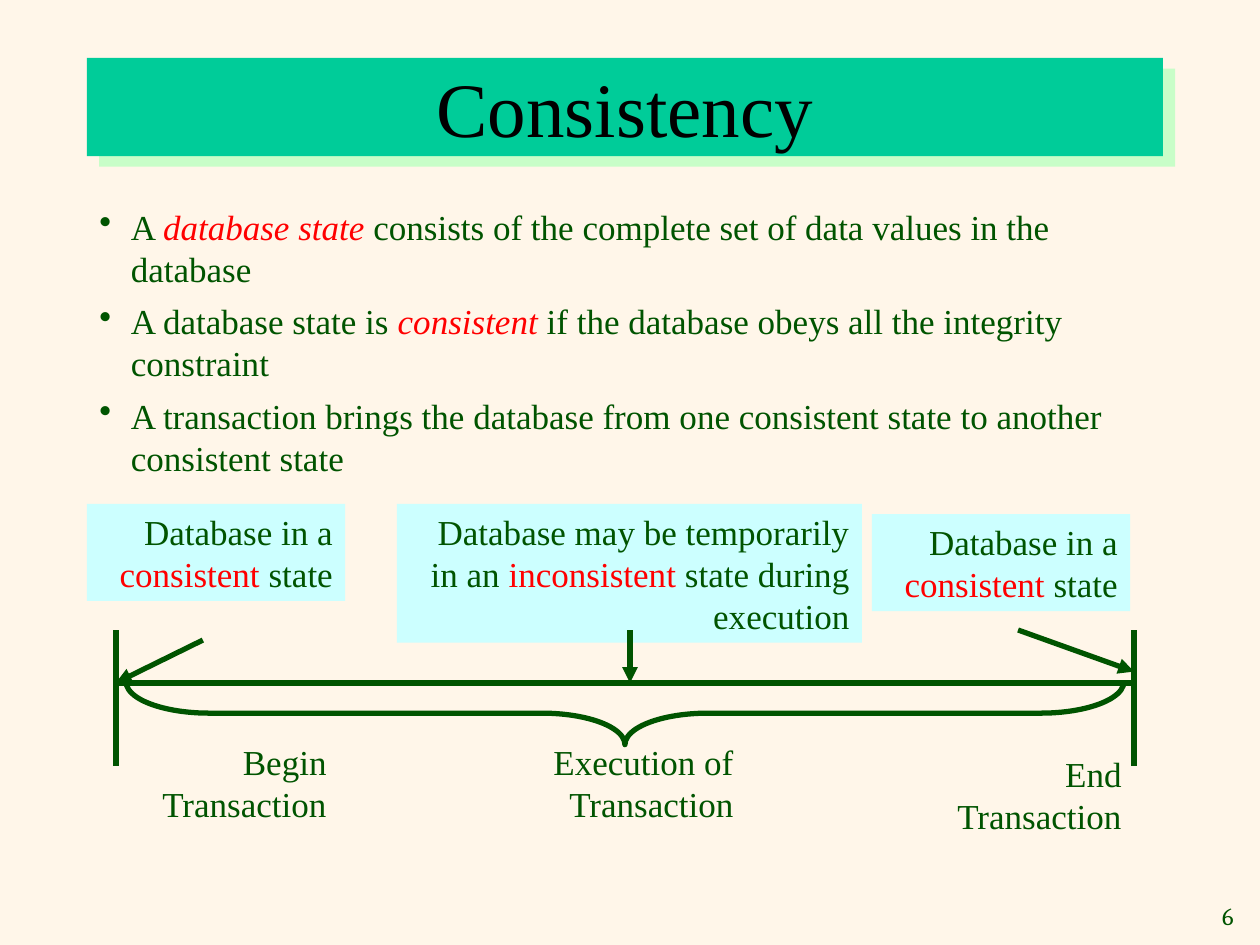
from lxml.etree import SubElement
from pptx import Presentation
from pptx.dml.color import RGBColor
from pptx.enum.shapes import MSO_CONNECTOR, MSO_SHAPE
from pptx.enum.text import MSO_ANCHOR, MSO_AUTO_SIZE, PP_ALIGN
from pptx.oxml.ns import qn
from pptx.util import Inches, Pt

COLORS = {
    "background": "FFF6E9",
    "ink": "005400",
    "key": "FF0000",
    "state": "CCFFFF",
    "banner": "00CC99",
    "banner_shadow": "C8FEC8",
    "title": "000000",
}
FONT = "Times New Roman"
BEGIN_X, END_X, AXIS_Y, MARK_TOP, MARK_BOTTOM = 0.92, 9, 5.42, 5, 6.08

BULLETS = [
    [("A ", "ink"), ("database state ", "key"),
     ("consists of the complete set of data values in the database", "ink")],
    [("A database state is ", "ink"), ("consistent ", "key"),
     ("if the database obeys all the integrity constraint", "ink")],
    [("A transaction brings the database from one consistent state "
      "to another consistent state", "ink")],
]
CONSISTENT = [("Database in a ", "ink"), ("consistent", "key"), (" state", "ink")]
INCONSISTENT = [("Database may be temporarily in an ", "ink"),
                ("inconsistent", "key"), (" state during execution", "ink")]
STATES = [
    (0.69, 4, 2.05, 0.77, CONSISTENT),
    (3.15, 4, 3.69, 1.1, INCONSISTENT),
    (6.92, 4.08, 2.05, 0.77, CONSISTENT),
]
CAPTIONS = [
    (1, 5.83, 1.69, "Begin Transaction"),
    (4.23, 5.83, 1.69, "Execution of Transaction"),
    (7.46, 5.92, 1.54, "End Transaction"),
]
ARROWS = [
    (1.61, 5.08, BEGIN_X, AXIS_Y),
    (5, MARK_TOP, 5, AXIS_Y),
    (8.08, MARK_TOP, END_X, 5.33),
]


def rgb(name):
    return RGBColor.from_string(COLORS[name])


def add_runs(paragraph, runs, size=20, font=FONT, italic_keys=False):
    for text, color in runs:
        run = paragraph.add_run()
        run.text = text
        run.font.name = font
        run.font.size = Pt(size)
        run.font.color.rgb = rgb(color)
        if italic_keys and color == "key":
            run.font.italic = True


def add_text(slide, left, top, width, height):
    box = slide.shapes.add_textbox(
        Inches(left), Inches(top), Inches(width), Inches(height))
    frame = box.text_frame
    frame.word_wrap = True
    frame.auto_size = MSO_AUTO_SIZE.SHAPE_TO_FIT_TEXT
    return frame


def add_panel(slide, left, top, width, height, fill):
    panel = slide.shapes.add_shape(
        MSO_SHAPE.RECTANGLE, Inches(left), Inches(top), Inches(width), Inches(height))
    panel.shadow.inherit = False
    panel.fill.solid()
    panel.fill.fore_color.rgb = rgb(fill)
    panel.line.fill.background()
    panel.text_frame.word_wrap = True
    return panel


def add_title(slide):
    banner = add_panel(slide, 0.69, 0.46, 8.54, 0.78, "banner")
    effects = banner._element.spPr.find(qn("a:effectLst"))
    shadow = SubElement(effects, qn("a:outerShdw"), dist=str(Pt(9.2)),
                        dir=str(41 * 60000), algn="ctr", rotWithShape="0")
    SubElement(shadow, qn("a:srgbClr"), val=COLORS["banner_shadow"])
    banner.text_frame.vertical_anchor = MSO_ANCHOR.MIDDLE
    paragraph = banner.text_frame.paragraphs[0]
    paragraph.alignment = PP_ALIGN.CENTER
    add_runs(paragraph, [("Consistency", "title")], size=44)


def add_bullets(slide):
    frame = add_text(slide, 0.69, 1.58, 8.69, 2.27)
    for index, runs in enumerate(BULLETS):
        paragraph = frame.add_paragraph() if index else frame.paragraphs[0]
        properties = paragraph._p.get_or_add_pPr()
        properties.set("marL", str(Inches(0.25)))
        properties.set("indent", str(Inches(-0.25)))
        SubElement(properties, qn("a:buChar"), char="•")
        if index:
            paragraph.space_before = Pt(6)
        add_runs(paragraph, runs, italic_keys=True)


def add_state(slide, left, top, width, height, runs):
    panel = add_panel(slide, left, top, width, height, "state")
    panel.text_frame.vertical_anchor = MSO_ANCHOR.TOP
    panel.text_frame.auto_size = MSO_AUTO_SIZE.SHAPE_TO_FIT_TEXT
    paragraph = panel.text_frame.paragraphs[0]
    paragraph.alignment = PP_ALIGN.RIGHT
    add_runs(paragraph, runs)


def add_caption(slide, left, top, width, text):
    paragraph = add_text(slide, left, top, width, 0.77).paragraphs[0]
    paragraph.alignment = PP_ALIGN.RIGHT
    add_runs(paragraph, [(text, "ink")])


def add_line(slide, x1, y1, x2, y2, arrow=False):
    line = slide.shapes.add_connector(
        MSO_CONNECTOR.STRAIGHT, Inches(x1), Inches(y1), Inches(x2), Inches(y2))
    line.line.color.rgb = rgb("ink")
    line.line.width = Pt(3)
    if arrow:
        SubElement(line.line._get_or_add_ln(), qn("a:tailEnd"), type="triangle")
    SubElement(line._element.spPr, qn("a:effectLst"))


def add_execution_brace(slide):
    brace = slide.shapes.add_shape(
        MSO_SHAPE.LEFT_BRACE, Inches(4.71), Inches(1.7), Inches(0.5), Inches(7.92))
    brace.rotation = 270
    brace.adjustments[0] = 1.32
    brace.adjustments[1] = 0.5
    brace.shadow.inherit = False
    brace.fill.background()
    brace.line.color.rgb = rgb("ink")
    brace.line.width = Pt(3)


def add_page_number(slide):
    frame = add_text(slide, 9.45, 7.1, 0.44, 0.33)
    frame.word_wrap = False
    frame.vertical_anchor = MSO_ANCHOR.MIDDLE
    paragraph = frame.paragraphs[0]
    paragraph.alignment = PP_ALIGN.RIGHT
    add_runs(paragraph, [("6", "ink")], size=14, font="Cambria")


def main():
    deck = Presentation()
    deck.slide_width, deck.slide_height = Inches(10), Inches(7.5)
    slide = deck.slides.add_slide(deck.slide_layouts[6])
    slide.background.fill.solid()
    slide.background.fill.fore_color.rgb = rgb("background")

    add_page_number(slide)
    add_bullets(slide)
    add_line(slide, BEGIN_X, AXIS_Y, END_X, AXIS_Y)
    for x in (BEGIN_X, END_X):
        add_line(slide, x, MARK_TOP, x, MARK_BOTTOM)
    for state in STATES:
        add_state(slide, *state)
    for arrow in ARROWS:
        add_line(slide, *arrow, arrow=True)
    for caption in CAPTIONS:
        add_caption(slide, *caption)
    add_execution_brace(slide)
    add_title(slide)
    deck.save("out.pptx")


if __name__ == "__main__":
    main()
